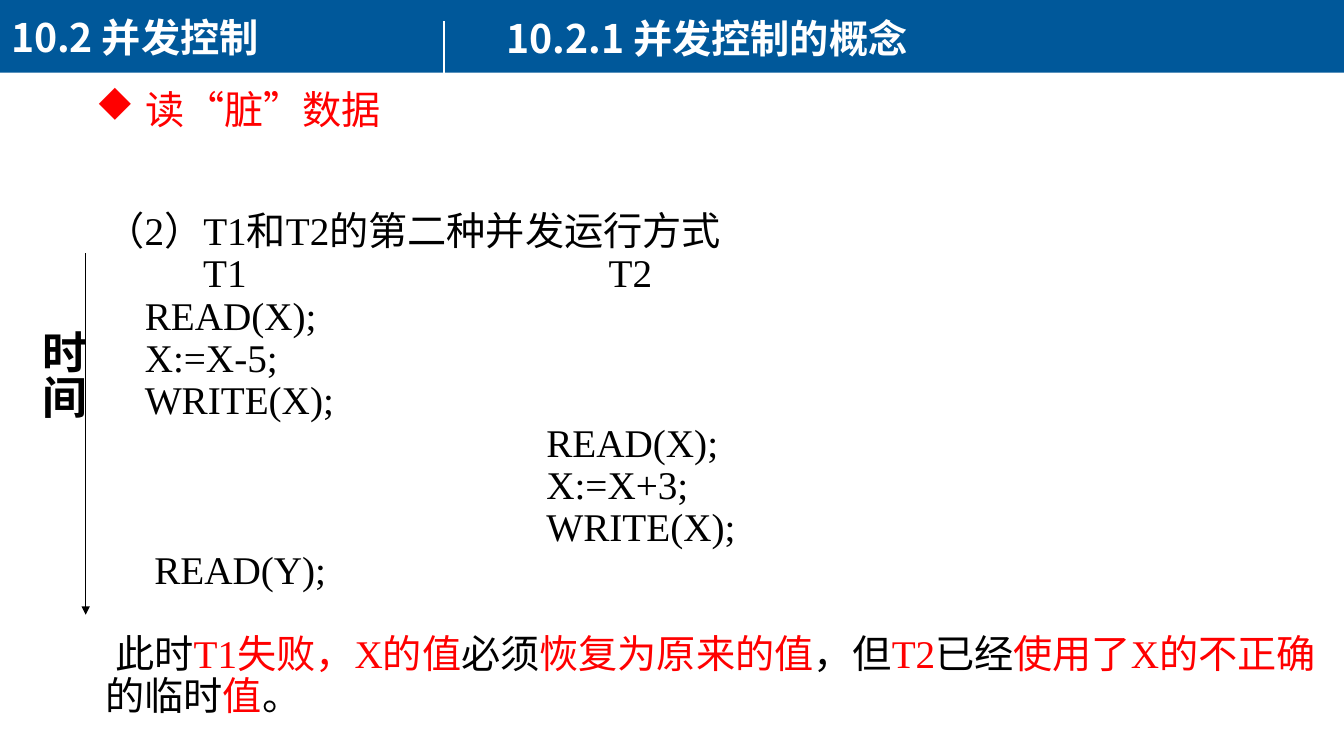
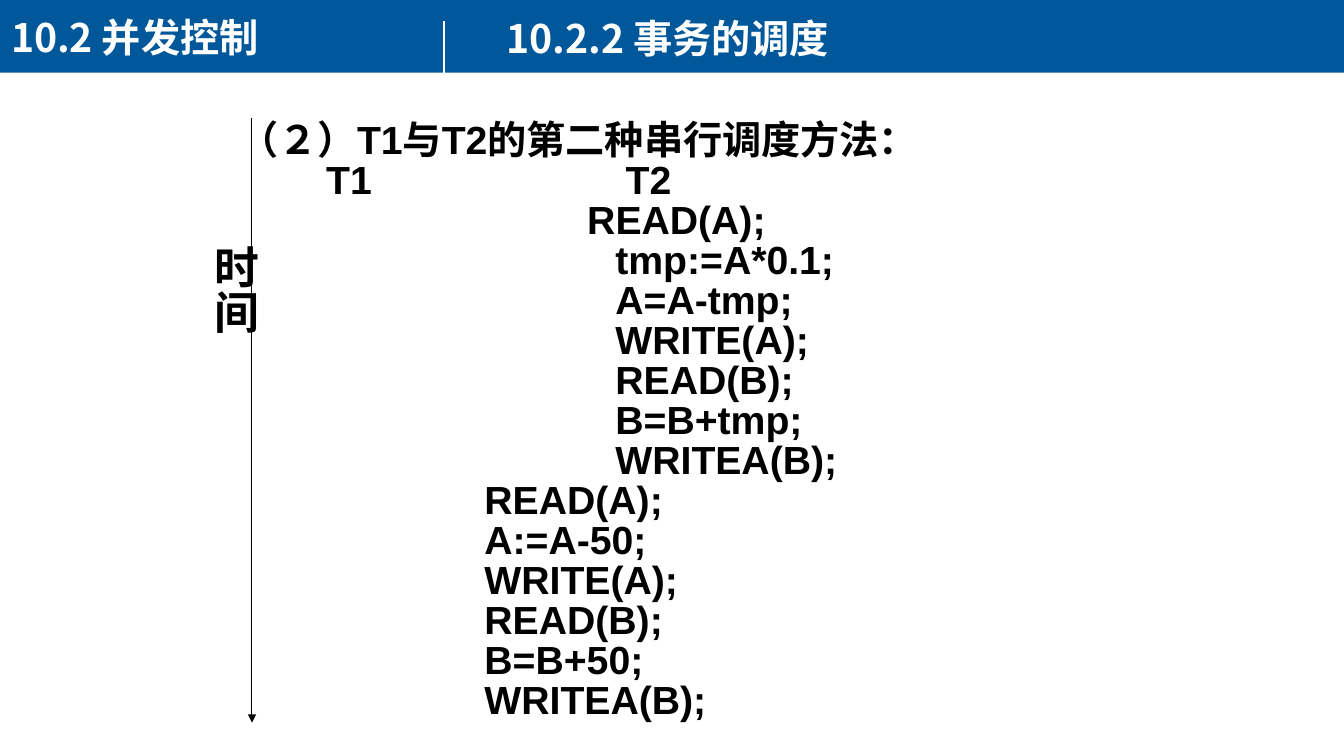
from itertools import cycle

from lxml import etree
from pptx import Presentation
from pptx.dml.color import RGBColor
from pptx.enum.shapes import MSO_CONNECTOR as CONN, MSO_SHAPE as SHAPE
from pptx.oxml.ns import qn
from pptx.util import Cm, Pt

BLUE = RGBColor(0x00, 0x58, 0x9A)
WHITE = RGBColor(0xFF, 0xFF, 0xFF)
BLACK = RGBColor(0x00, 0x00, 0x00)
RED = RGBColor(0xFF, 0x00, 0x00)
CJK = "Noto Sans CJK SC"
SERIF = "Times New Roman"
SANS = "Arial"
SLIDE_W, SLIDE_H = 33.87, 19.05


def add_box(s, left, top, width, height, wrap=True):
    sp = s.shapes.add_textbox(Cm(left), Cm(top), Cm(width), Cm(height))
    sp.text_frame.word_wrap = wrap
    return sp.text_frame


def add_run(p, text, font, color=BLACK, size=28, bold=False):
    r = p.add_run()
    r.text = text
    r.font.name = font
    r.font.size = Pt(size)
    r.font.bold = bold
    r.font.color.rgb = color
    ea = etree.SubElement(r._r.get_or_add_rPr(), qn("a:ea"))
    ea.set("typeface", CJK)


def add_line(s, x, top, bottom, color, width, arrow=False):
    cx = s.shapes.add_connector(CONN.STRAIGHT, Cm(x), Cm(top), Cm(x), Cm(bottom))
    cx.line.color.rgb = color
    cx.line.width = Pt(width)
    if arrow:
        tail = etree.SubElement(cx.line._get_or_add_ln(), qn("a:tailEnd"))
        tail.set("type", "triangle")
    etree.SubElement(cx._element.spPr, qn("a:effectLst"))


def set_indent(p, left, first=0):
    pPr = p._p.get_or_add_pPr()
    pPr.set("marL", str(Cm(left)))
    pPr.set("indent", str(Cm(first)))
    return pPr


def set_tabs(p, stops):
    tabs = etree.SubElement(p._p.get_or_add_pPr(), qn("a:tabLst"))
    for stop in stops:
        tab = etree.SubElement(tabs, qn("a:tab"))
        tab.set("pos", str(Cm(stop)))
        tab.set("algn", "l")


def add_header(s, topic):
    band = s.shapes.add_shape(SHAPE.RECTANGLE, 0, 0, Cm(SLIDE_W), Cm(1.83))
    band.shadow.inherit = False
    band.fill.solid()
    band.fill.fore_color.rgb = BLUE
    band.line.fill.background()
    for text, left, top, width in (("10.2 并发控制", 0.03, 0.2, 12.04),
                                   (topic, 12.52, 0.23, 18.85)):
        tf = add_box(s, left, top, width, 1.45)
        add_run(tf.paragraphs[0], text, CJK, WHITE, bold=True)
    add_line(s, 11.18, 0.53, 2.01, WHITE, 1.5)


def add_timeline(s, x, top, bottom, label_dx, label_dy, label_h):
    add_line(s, x, top, bottom, BLACK, 0.75, arrow=True)
    tf = add_box(s, x + label_dx, top + label_dy, 1.88, label_h)
    tf._txBody.bodyPr.set("vert", "eaVert")
    add_run(tf.paragraphs[0], "时间", SANS, size=32, bold=True)


def add_heading(s, left, top, width, height, text):
    p = add_box(s, left, top, width, height, wrap=False).paragraphs[0]
    pPr = set_indent(p, 1.27, -1.27)
    etree.SubElement(pPr, qn("a:buFont")).set("typeface", "Wingdings")
    etree.SubElement(pPr, qn("a:buChar")).set("char", "u")
    add_run(p, text, SERIF, RED)


def add_schedule(s, box, title, columns, steps, font, bold, spacing):
    tf = add_box(s, *box)
    p = tf.paragraphs[0]
    p.line_spacing = spacing
    add_run(p, title, font, bold=bold)
    p = tf.add_paragraph()
    p.line_spacing = spacing
    set_tabs(p, columns)
    add_run(p, "\tT1\tT2", font, bold=bold)
    for indent, lines in steps:
        for line in lines:
            p = tf.add_paragraph()
            p.line_spacing = spacing
            set_indent(p, indent)
            add_run(p, line, font, bold=bold)
    return tf


def add_conclusion(tf, parts, font, spacing):
    p = tf.add_paragraph()
    p.line_spacing = spacing
    p.space_before = Pt(30)
    set_indent(p, 0, 0.25)
    for text, color in zip(parts, cycle((BLACK, RED))):
        add_run(p, text, font, color)


def build_dirty_read(s):
    add_header(s, "10.2.1 并发控制的概念")
    add_heading(s, 2.16, 2.03, 7.77, 1.45, "读“脏”数据")
    steps = [
        (0.99, ["READ(X);", "X:=X-5;", "WRITE(X);"]),
        (11.11, ["READ(X);", "X:=X+3;", "WRITE(X);"]),
        (1.23, ["READ(Y);"]),
    ]
    tf = add_schedule(s, (2.41, 5.21, 31.27, 13.5), "（2）T1和T2的第二种并发运行方式",
                      (2.46, 12.68), steps, SERIF, False, 0.9)
    add_conclusion(tf, ["此时", "T1失败，X的值", "必须", "恢复为原来的值", "，但", "T2",
                        "已经", "使用了X的不正确", "的临时", "值", "。"], SERIF, 0.9)
    add_timeline(s, 2.16, 6.38, 15.49, -1.63, 1.7, 6.78)


def build_serial_schedule(s):
    add_header(s, "10.2.2 事务的调度")
    steps = [
        (8.76, ["READ(A);"]),
        (9.47, ["tmp:=A*0.1;", "A=A-tmp;", "WRITE(A);", "READ(B);",
                "B=B+tmp;", "WRITEA(B);"]),
        (6.17, ["READ(A);", "A:=A-50;", "WRITE(A);", "READ(B);",
                "B=B+50;", "WRITEA(B);"]),
    ]
    add_schedule(s, (5.79, 2.97, 23.29, 16.05), "（２）T1与T2的第二种串行调度方法：",
                 (2.18, 9.73), steps, SANS, True, 0.85)
    add_timeline(s, 6.35, 2.97, 18.21, -1.5, 2.95, 8.26)


def main():
    prs = Presentation()
    prs.slide_width, prs.slide_height = Cm(SLIDE_W), Cm(SLIDE_H)
    for build in (build_dirty_read, build_serial_schedule):
        build(prs.slides.add_slide(prs.slide_layouts[6]))
    prs.save("out.pptx")


if __name__ == "__main__":
    main()
